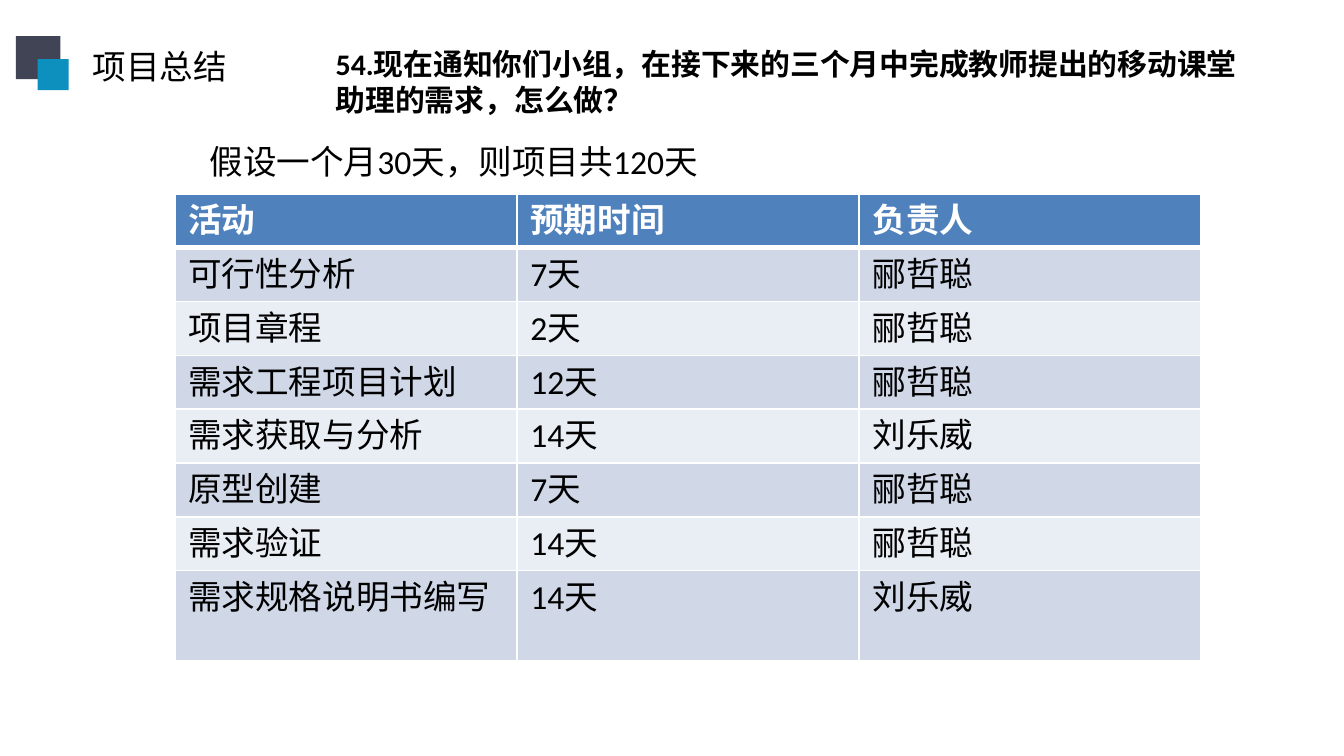
from lxml import etree
from pptx import Presentation
from pptx.dml.color import RGBColor
from pptx.enum.shapes import MSO_SHAPE
from pptx.enum.text import MSO_AUTO_SIZE
from pptx.oxml.ns import qn
from pptx.util import Pt

RECTANGLE = MSO_SHAPE.RECTANGLE
GROW = MSO_AUTO_SIZE.SHAPE_TO_FIT_TEXT

COLORS = {
    "text": "000000",
    "white": "FFFFFF",
    "dark": "414455",
    "teal": "0E90BE",
    "header": "4F81BD",
    "odd": "D0D8E8",
    "even": "E9EDF4",
}
BODY_FONT = "Calibri"
HEADING_FONT = "Noto Sans CJK SC"

HEADERS = ["活动", "预期时间", "负责人"]
ACTIVITIES = [
    ["可行性分析", "7天", "郦哲聪"],
    ["项目章程", "2天", "郦哲聪"],
    ["需求工程项目计划", "12天", "郦哲聪"],
    ["需求获取与分析", "14天", "刘乐威"],
    ["原型创建", "7天", "郦哲聪"],
    ["需求验证", "14天", "郦哲聪"],
    ["需求规格说明书编写", "14天", "刘乐威"],
]
COLUMN_WIDTH = 183.3
ROW_HEIGHT = 28
LAST_ROW_HEIGHT = 48.5


def color(name):
    return RGBColor.from_string(COLORS[name])


def add_span(para, text, size=18, font=BODY_FONT, ink="text", bold=False):
    span = para.add_run()
    span.text = text
    span.font.size = Pt(size)
    span.font.bold = bold
    span.font.color.rgb = color(ink)
    span.font.name = font
    # Chinese characters follow the line height of the body font
    east_asian = etree.SubElement(span.font._element, qn("a:ea"))
    east_asian.set("typeface", BODY_FONT)


def add_text(page, left, top, width, height, text, wrap=True, **style):
    box = page.shapes.add_textbox(Pt(left), Pt(top), Pt(width), Pt(height))
    frame = box.text_frame
    frame.word_wrap = wrap
    frame.auto_size = GROW
    add_span(frame.paragraphs[0], text, **style)


def add_square(group, left, top, width, height, fill):
    square = group.shapes.add_shape(
        RECTANGLE, Pt(left), Pt(top), Pt(width), Pt(height))
    square.shadow.inherit = False
    square.fill.solid()
    square.fill.fore_color.rgb = color(fill)
    square.line.fill.background()


def set_borders(cell, widths):
    properties = cell._tc.get_or_add_tcPr()
    for position, (side, width) in enumerate(widths.items()):
        line = etree.Element(qn(f"a:{side}"), w=str(Pt(width)))
        fill = etree.SubElement(line, qn("a:solidFill"))
        etree.SubElement(fill, qn("a:srgbClr"), val=COLORS["white"])
        properties.insert(position, line)


def add_schedule(page, left, top):
    rows = [HEADERS] + ACTIVITIES
    heights = [ROW_HEIGHT] * len(ACTIVITIES) + [LAST_ROW_HEIGHT]
    table = page.shapes.add_table(
        len(rows), len(HEADERS), Pt(left), Pt(top),
        Pt(COLUMN_WIDTH * len(HEADERS)), Pt(sum(heights))).table
    for column in table.columns:
        column.width = Pt(COLUMN_WIDTH)
    for r, (values, height) in enumerate(zip(rows, heights)):
        table.rows[r].height = Pt(height)
        is_header = r == 0
        fill = "header" if is_header else "odd" if r % 2 else "even"
        borders = {"lnL": 1, "lnR": 1, "lnT": 3 if r == 1 else 1,
                   "lnB": 3 if is_header else 1}
        for c, value in enumerate(values):
            cell = table.cell(r, c)
            cell.fill.solid()
            cell.fill.fore_color.rgb = color(fill)
            set_borders(cell, borders)
            add_span(cell.text_frame.paragraphs[0], value,
                     ink="white" if is_header else "text", bold=is_header)


def main():
    deck = Presentation()
    deck.slide_width, deck.slide_height = Pt(720), Pt(405)
    page = deck.slides.add_slide(deck.slide_layouts[6])

    # Section heading with its pair of squares
    add_text(page, 42.5, 20.9, 87, 29, "项目总结", wrap=False,
             font=HEADING_FONT)
    emblem = page.shapes.add_group_shape()
    add_square(emblem, 8.6, 19.4, 23.8, 23, "dark")
    add_square(emblem, 20.2, 31.7, 16.6, 16.6, "teal")

    # Question
    add_text(page, 172.8, 20.9, 499, 46,
             "54.现在通知你们小组，在接下来的三个月中完成教师提出的移动课堂助理的需求，怎么做？",
             size=16, bold=True)

    # Schedule and its assumption
    add_schedule(page, 93.6, 103.9)
    add_text(page, 105.1, 72, 294.5, 29, "假设一个月30天，则项目共120天")

    deck.save("out.pptx")


if __name__ == "__main__":
    main()
